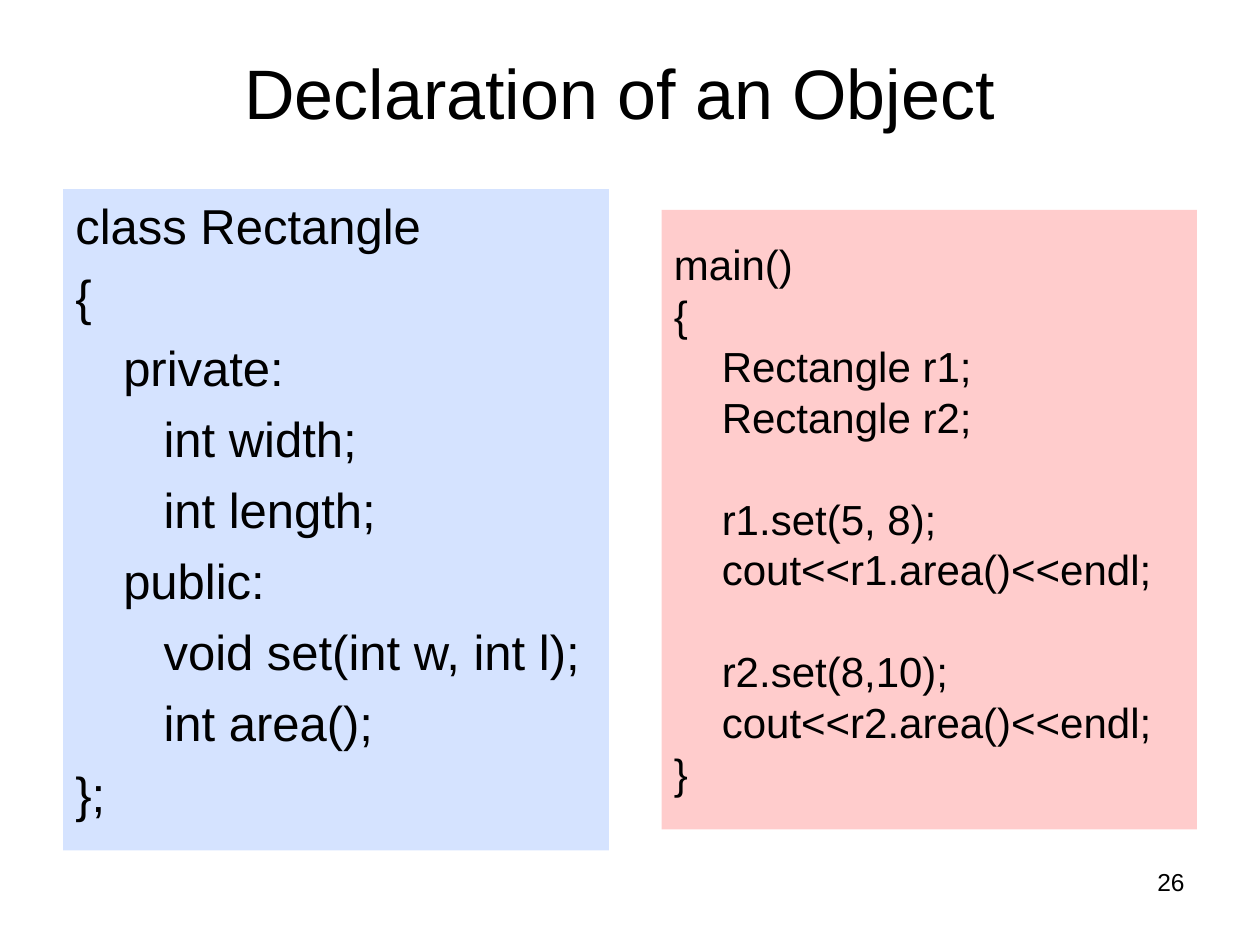
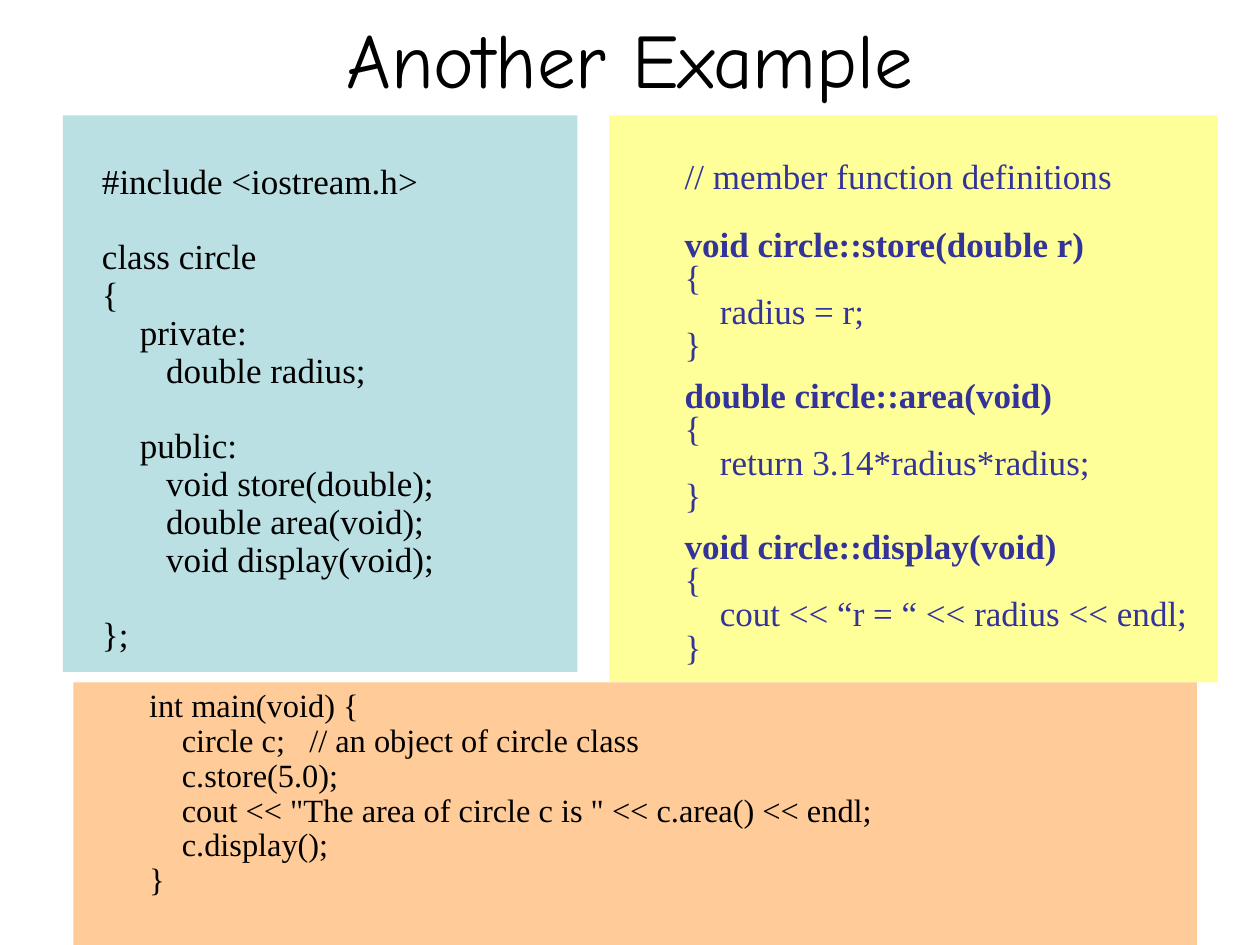
from dataclasses import dataclass

from pptx import Presentation
from pptx.dml.color import RGBColor
from pptx.enum.shapes import MSO_SHAPE
from pptx.enum.text import MSO_ANCHOR as Anchor, PP_ALIGN as Align
from pptx.util import Inches, Pt

COLS, ROWS = 120, 90  # grid over the whole slide
WIDTH, HEIGHT = Inches(10), Inches(7.5)


@dataclass(frozen=True)
class Theme:
    ink: str = "000000"
    indigo: str = "333399"
    blue: str = "D5E3FF"
    pink: str = "FFCCCC"
    teal: str = "BBE0E3"
    yellow: str = "FFFF99"
    orange: str = "FFCC99"
    sans: str = "Arial"
    serif: str = "Times New Roman"
    hand: str = "Comic Neue"
    title: float = 40
    hand_title: float = 44
    number: float = 14
    code_large: float = 28
    code_medium: float = 24
    code: float = 20
    code_small: float = 18.5
    leading: float = 1.2


T = Theme()


@dataclass(frozen=True)
class Line:
    """A line of code; gap is the space above it, in lines."""
    text: str
    depth: int = 0
    gap: float = 0
    bold: bool = False


# Code listings
RECTANGLE_CLASS = [
    Line("class Rectangle"),
    Line("{"),
    Line("private:", 1),
    Line("int width;", 2),
    Line("int length;", 2),
    Line("public:", 1),
    Line("void set(int w, int l);", 2),
    Line("int area();", 2),
    Line("};"),
]
RECTANGLE_MAIN = [
    Line("main()"),
    Line("{"),
    Line("Rectangle r1;", 1),
    Line("Rectangle r2;", 1),
    Line("r1.set(5, 8);", 1, gap=1),
    Line("cout<<r1.area()<<endl;", 1),
    Line("r2.set(8,10);", 1, gap=1),
    Line("cout<<r2.area()<<endl;", 1),
    Line("}"),
]
CIRCLE_CLASS = [
    Line("#include <iostream.h>"),
    Line("class circle", gap=1),
    Line("{"),
    Line("private:", 1),
    Line("double radius;", 2),
    Line("public:", 1, gap=1),
    Line("void store(double);", 2),
    Line("double area(void);", 2),
    Line("void display(void);", 2),
    Line("};", gap=1),
]
CIRCLE_MAIN = [
    Line("int main(void) {"),
    Line("circle c;   // an object of circle class", 1),
    Line("c.store(5.0);", 1),
    Line('cout << "The area of circle c is " << c.area() << endl;', 1),
    Line("c.display();", 1),
    Line("}"),
]


def member(signature, body, gap):
    return [Line(signature, gap=gap, bold=True), Line("{"), Line(body, 1), Line("}")]


CIRCLE_MEMBERS = [
    Line("// member function definitions"),
    *member("void circle::store(double r)", "radius = r;", 1),
    *member("double circle::area(void)", "return 3.14*radius*radius;", 0.5),
    *member("void circle::display(void)", "cout << “r = “ << radius << endl;", 0.5),
]


def on_grid(col, row, cols, rows):
    x, y = WIDTH / COLS, HEIGHT / ROWS
    return round(col * x), round(row * y), round(cols * x), round(rows * y)


def style(p, size, font, color=T.ink, bold=False):
    for r in p.runs:
        r.font.size, r.font.name, r.font.bold = Pt(size), font, bold
        r.font.color.rgb = RGBColor.from_string(color)


def set_insets(tf, left, top):
    tf.margin_left, tf.margin_right = Inches(left), Inches(0.1)
    tf.margin_top, tf.margin_bottom = Inches(top), Inches(0.05)


def label(s, box, text, size, font, align, anchor):
    tf = s.shapes.add_textbox(*on_grid(*box)).text_frame
    tf.word_wrap = True
    tf.vertical_anchor = anchor
    set_insets(tf, 0.1, 0.05)
    tf.text = text
    p = tf.paragraphs[0]
    p.alignment = align
    style(p, size, font)


def title(s, box, text, size, font):
    label(s, box, text, size, font, Align.CENTER, Anchor.MIDDLE)


def code_panel(s, box, fill, lines, size, font, steps, inset=(0.1, 0.05),
               spacing=1.0, before=0, color=T.ink):
    """Filled box of code; steps holds the indent in inches for each depth."""
    sp = s.shapes.add_shape(MSO_SHAPE.RECTANGLE, *on_grid(*box))
    sp.shadow.inherit = False
    sp.fill.solid()
    sp.fill.fore_color.rgb = RGBColor.from_string(fill)
    sp.line.fill.background()
    tf = sp.text_frame
    tf.word_wrap = True
    tf.vertical_anchor = Anchor.TOP
    set_insets(tf, *inset)
    tf.text = "\n".join(line.text for line in lines)
    pitch = size * T.leading * spacing
    for i, (p, line) in enumerate(zip(tf.paragraphs, lines)):
        p.alignment = Align.LEFT
        p.line_spacing = Pt(pitch)
        p.space_before = Pt(before + line.gap * (pitch + before) if i else 0)
        p._p.get_or_add_pPr().set("marL", str(Inches(steps[line.depth])))
        style(p, size, font, color, line.bold)


def declaration_slide(s):
    label(s, (86, 82, 28, 6.2), "26", T.number, T.sans, Align.RIGHT, Anchor.TOP)
    code_panel(s, (6, 18, 52, 63), T.blue, RECTANGLE_CLASS, T.code_large, T.sans,
               steps=(0, 0.38, 0.7), before=7)
    title(s, (5, 4.5, 108, 8.4), "Declaration of an Object", T.title, T.sans)
    code_panel(s, (63, 20, 51, 59), T.pink, RECTANGLE_MAIN, T.code_medium, T.sans,
               steps=(0, 0.38), inset=(0.1, 0.31), spacing=0.8, before=6)


def example_slide(s):
    title(s, (0, 1, 120, 9), "Another Example", T.hand_title, T.hand)
    code_panel(s, (6, 11, 49, 53), T.teal, CIRCLE_CLASS, T.code, T.serif,
               steps=(0, 0.3, 0.51), inset=(0.31, 0.38), spacing=0.9)
    code_panel(s, (58, 11, 58, 54), T.yellow, CIRCLE_MEMBERS, T.code, T.serif,
               steps=(0, 0.28), inset=(0.6, 0.38), spacing=0.8, color=T.indigo)
    code_panel(s, (7, 65, 107, 25), T.orange, CIRCLE_MAIN, T.code_small, T.serif,
               steps=(0, 0.26), inset=(0.6, 0.05), spacing=0.9)


def main():
    prs = Presentation()
    prs.slide_width, prs.slide_height = WIDTH, HEIGHT
    for build in (declaration_slide, example_slide):
        build(prs.slides.add_slide(prs.slide_layouts[6]))
    prs.save("out.pptx")


if __name__ == "__main__":
    main()
